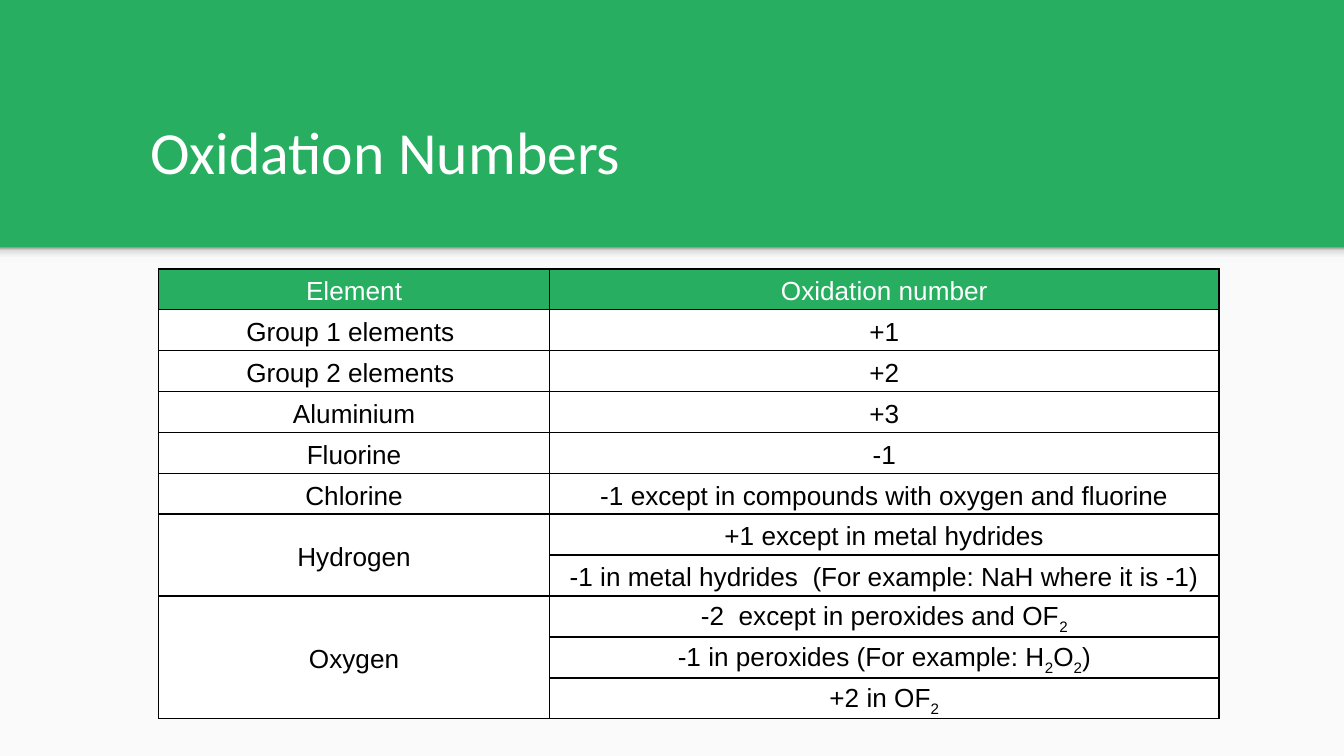
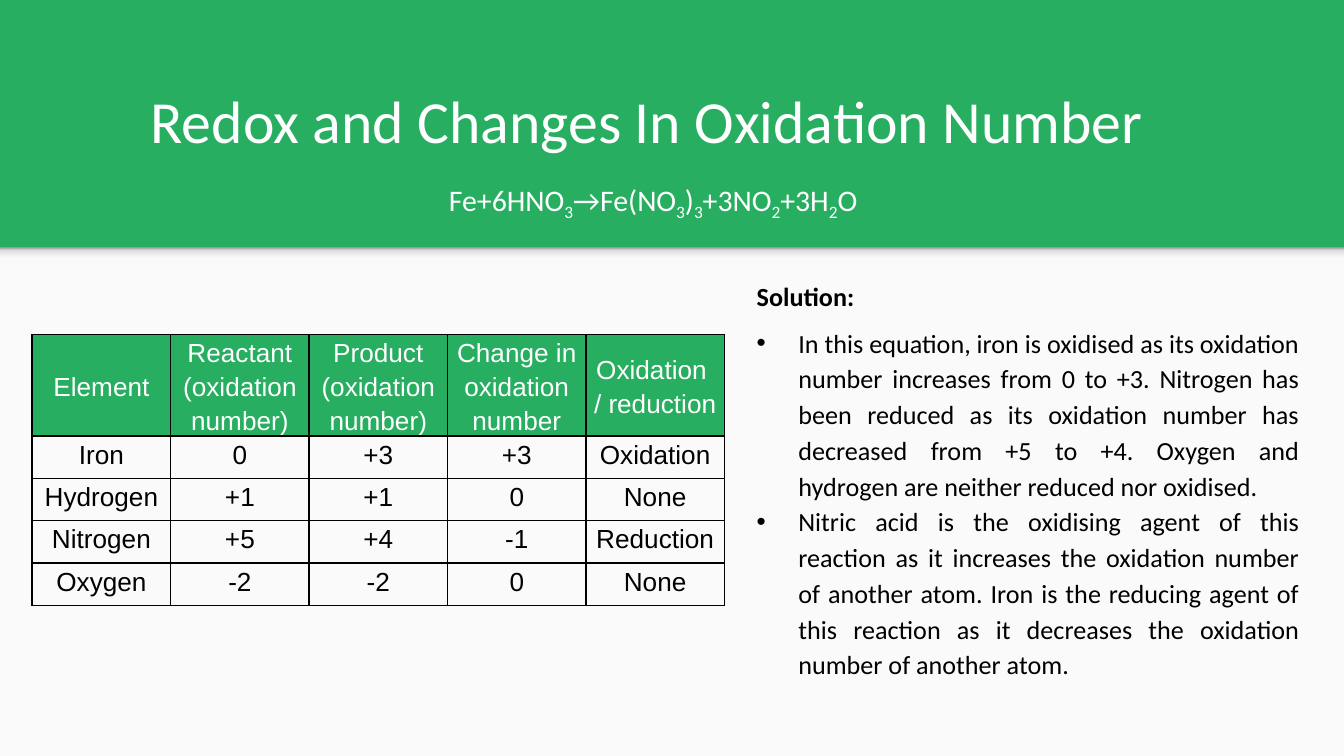
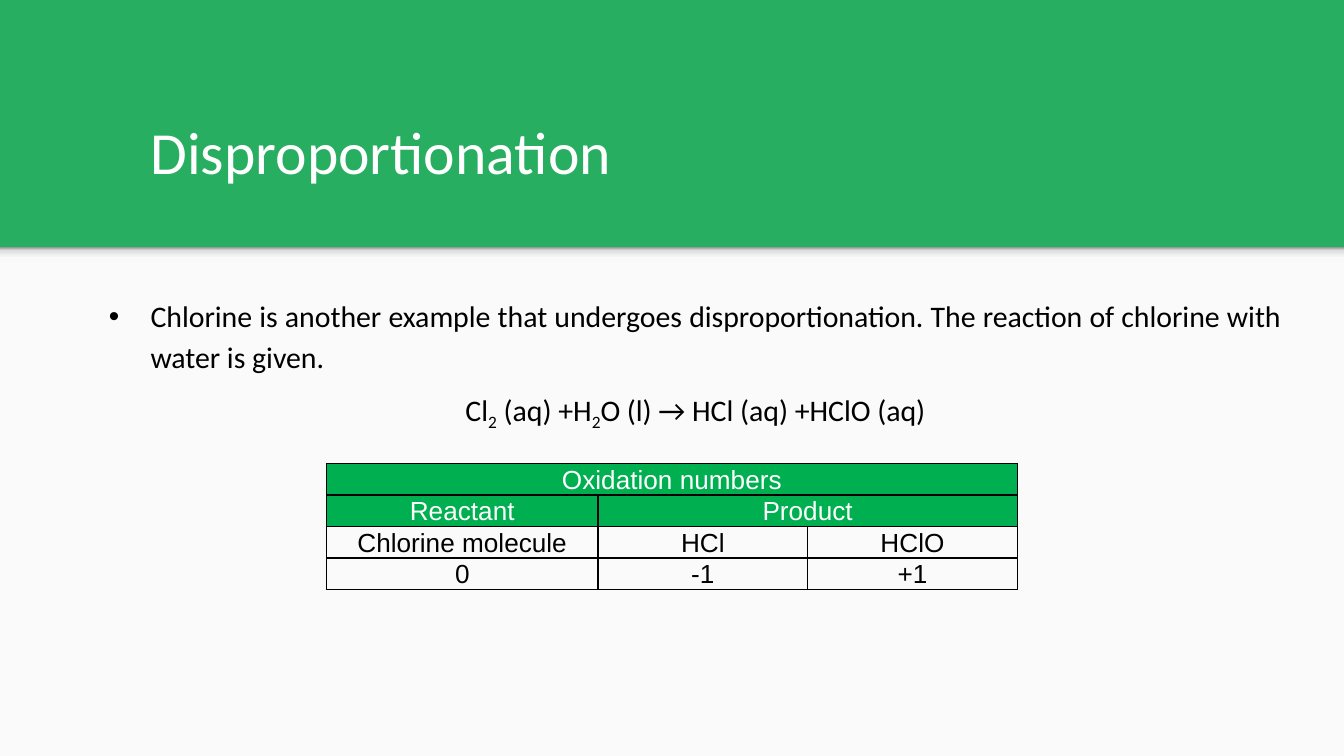
"""Build three chemistry slides on oxidation numbers and redox."""
from dataclasses import dataclass

from lxml import etree
from pptx import Presentation
from pptx.dml.color import RGBColor
from pptx.enum.shapes import MSO_SHAPE
from pptx.enum.text import MSO_ANCHOR, MSO_AUTO_SIZE, PP_ALIGN
from pptx.oxml.ns import qn
from pptx.util import Inches, Pt

RECT = MSO_SHAPE.RECTANGLE
TOP, MIDDLE, BOTTOM = MSO_ANCHOR.TOP, MSO_ANCHOR.MIDDLE, MSO_ANCHOR.BOTTOM
LEFT, CENTER, JUSTIFY = PP_ALIGN.LEFT, PP_ALIGN.CENTER, PP_ALIGN.JUSTIFY
NO_FIT, GROW = MSO_AUTO_SIZE.NONE, MSO_AUTO_SIZE.SHAPE_TO_FIT_TEXT
TITLE_AND_BODY, TITLE_ONLY = 1, 5


@dataclass(frozen=True)
class Theme:
    green: str = "27AE60"
    bright_green: str = "00B050"
    paper: str = "FAFAFA"
    white: str = "FFFFFF"
    black: str = "000000"
    shade: tuple = ((0, "F9F9F9"), (36, "F9F9F9"), (80, "DEDEDE"), (100, "999999"))
    text_font: str = "Calibri"
    table_font: str = "Arial"
    title_size: int = 32
    lead_size: int = 16
    text_size: int = 14
    border: float = 1


def rgb(value):
    return RGBColor.from_string(value)


def add_color(parent, tag, color):
    el = etree.SubElement(parent, qn(tag))
    etree.SubElement(el, qn("a:srgbClr"), val=color)
    return el


def write(p, text, *, font, size, color, bold=False, align=LEFT, spacing=None,
          before=0, margin=0, indent=0, bullet=False):
    """Fill a paragraph; an underscore makes the next character a subscript."""
    p.alignment = align
    p.space_before = Pt(before)
    if spacing:
        p.line_spacing = spacing
    pPr = p._p.get_or_add_pPr()
    pPr.set("marL", str(Inches(margin)))
    pPr.set("indent", str(Inches(indent)))
    if bullet:
        add_color(pPr, "a:buClr", color)
        etree.SubElement(pPr, qn("a:buChar"), char="•")
    else:
        etree.SubElement(pPr, qn("a:buNone"))
    first, *rest = text.split("_")
    parts = [(first, False)]
    for part in rest:
        parts += [(part[0], True), (part[1:], False)]
    for part, lowered in parts:
        if not part:
            continue
        r = p.add_run()
        r.text = part
        r.font.name, r.font.size, r.font.bold = font, Pt(size), bold
        r.font.color.rgb = rgb(color)
        if lowered:
            r._r.get_or_add_rPr().set("baseline", "-25000")


class Deck:
    """Holds the theme, the presentation and the current slide."""

    def __init__(self, theme):
        self.theme = theme
        self.prs = Presentation()
        self.prs.slide_width = Inches(10)
        self.prs.slide_height = Inches(10 * 9 / 16)
        self.slide = None

    def add_slide(self, layout):
        self.slide = self.prs.slides.add_slide(self.prs.slide_layouts[layout])

    def backdrop(self):
        """Put the green band, the paper and its shadow on the master."""
        t, master = self.theme, self.prs.slide_master
        master.background.fill.solid()
        master.background.fill.fore_color.rgb = rgb(t.green)
        top = Inches(1.84)
        for i, height in enumerate((self.prs.slide_height - top, Inches(0.12))):
            sp = self.slide.shapes.add_shape(RECT, 0, top, self.prs.slide_width, height)
            sp.shadow.inherit = False
            sp.line.fill.background()
            if i == 0:
                sp.fill.solid()
                sp.fill.fore_color.rgb = rgb(t.paper)
            else:
                sp.fill.gradient()
                sp.fill.gradient_angle = 90
                stops = sp.element.find(".//" + qn("a:gsLst"))
                for old in list(stops):
                    stops.remove(old)
                for pos, color in t.shade:
                    add_color(stops, "a:gs", color).set("pos", str(pos * 1000))
            sp.element.find(".//" + qn("p:cNvPr")).set("id", str(20 + i))
            master.shapes.element.insert(2 + i, sp.element)

    def place(self, sp, left, top, width, height, anchor):
        sp.left, sp.top = Inches(left), Inches(top)
        sp.width, sp.height = Inches(width), Inches(height)
        tf = sp.text_frame
        tf.word_wrap, tf.auto_size, tf.vertical_anchor = True, NO_FIT, anchor
        tf.margin_left = tf.margin_right = Inches(0.1)
        tf.margin_top = tf.margin_bottom = Inches(0.1)
        return tf

    def title(self, text, top=0.65, width=8.76):
        t = self.theme
        tf = self.place(self.slide.shapes.title, 1.02, top, width, 0.84, BOTTOM)
        write(tf.paragraphs[0], text, font=t.text_font, size=t.title_size, color=t.white)

    def body(self, box, items, size):
        """Write (text, format) items into the body placeholder."""
        t = self.theme
        tf = self.place(self.slide.placeholders[1], *box, TOP)
        for i, (text, style) in enumerate(items):
            p = tf.add_paragraph() if i else tf.paragraphs[0]
            write(p, text, font=t.text_font, size=size, color=t.black, spacing=1.14, **style)

    def equation(self, text, left, top, width, height):
        t = self.theme
        sp = self.slide.shapes.add_textbox(
            Inches(left), Inches(top), Inches(width), Inches(height))
        tf = sp.text_frame
        tf.word_wrap, tf.auto_size = True, GROW
        write(tf.paragraphs[0], text, font=t.text_font, size=t.lead_size,
              color=t.white, spacing=1.14, **CENTERED)

    def borders(self, cell):
        tcPr = cell._tc.get_or_add_tcPr()
        for side in "LRTB":
            ln = etree.SubElement(tcPr, qn("a:ln" + side), w=str(Pt(self.theme.border)))
            add_color(ln, "a:solidFill", self.theme.black)

    def table(self, left, top, cols, row_height, rows, *, head_fill, head_rows=1,
              body_fill=None, head_anchor=MIDDLE, anchor=TOP, spacing=1.15,
              head_pad=0.07, merges=()):
        """Draw a bordered table; None marks a cell covered by a merge."""
        t = self.theme
        table = self.slide.shapes.add_table(
            len(rows), len(cols), Inches(left), Inches(top),
            Inches(sum(cols)), Inches(row_height * len(rows))).table
        table.first_row = table.horz_banding = False
        for column, width in zip(table.columns, cols):
            column.width = Inches(width)
        for i, row in enumerate(rows):
            head = i < head_rows
            fill = head_fill if head else body_fill
            for j, text in enumerate(row):
                cell = table.cell(i, j)
                cell.margin_left = cell.margin_right = Inches(head_pad if head else 0.07)
                cell.margin_top = cell.margin_bottom = 0
                cell.vertical_anchor = head_anchor if head else anchor
                self.borders(cell)
                if fill:
                    cell.fill.solid()
                    cell.fill.fore_color.rgb = rgb(fill)
                else:
                    cell.fill.background()
                if text is not None:
                    write(cell.text_frame.paragraphs[0], text, font=t.table_font,
                          size=t.text_size, color=t.white if head else t.black,
                          align=CENTER, spacing=spacing)
        for start, end in merges:
            table.cell(*start).merge(table.cell(*end))


CENTERED = dict(align=CENTER, margin=0.14, before=6)
HEADING = dict(align=JUSTIFY, margin=0.14, bold=True)
BULLET = dict(align=JUSTIFY, margin=0.45, indent=-0.31, bullet=True)
FIRST_BULLET = dict(BULLET, before=6)


def oxidation_numbers(deck):
    t = deck.theme
    deck.title("Oxidation Numbers", width=6.9)
    rows = [
        ("Element", "Oxidation number"),
        ("Group 1 elements ", "+1"),
        ("Group 2 elements ", "+2"),
        ("Aluminium", "+3"),
        ("Fluorine", "-1"),
        ("Chlorine", "-1 except in compounds with oxygen and fluorine"),
        ("Hydrogen", "+1 except in metal hydrides"),
        (None, "-1 in metal hydrides  (For example: NaH where it is -1)"),
        ("Oxygen", "-2  except in peroxides and OF_2"),
        (None, "-1 in peroxides (For example: H_2O_2)"),
        (None, "+2 in OF_2"),
    ]
    deck.table(1.18, 2, (2.91, 4.98), 3.35 / len(rows), rows, head_fill=t.green,
               body_fill=t.white, anchor=MIDDLE,
               merges=[((6, 0), (7, 0)), ((8, 0), (10, 0))])


def redox_changes(deck):
    t = deck.theme
    deck.title("Redox and Changes In Oxidation Number", top=0.42)
    deck.body((5.39, 1.95, 4.38, 3.56), [
        ("Solution:", HEADING),
        ("In this equation, iron is oxidised as its oxidation number increases "
         "from 0 to +3. Nitrogen has been reduced as its oxidation number has "
         "decreased from +5 to +4. Oxygen and hydrogen are neither reduced nor "
         "oxidised.", FIRST_BULLET),
        ("Nitric acid is the oxidising agent of this reaction as it increases the "
         "oxidation number of another atom. Iron is the reducing agent of this "
         "reaction as it decreases the oxidation number of another atom.", BULLET),
    ], t.text_size)
    deck.table(0.24, 2.49, (1.03,) * 5, 1.26 / 4, [
        ("Element", "Reactant (oxidation number)", "Product (oxidation number)",
         "Change in oxidation number", "Oxidation  / reduction"),
        ("Iron", "0", "+3", "+3", "Oxidation"),
        ("Hydrogen", "+1", "+1", "0", "None"),
        ("Nitrogen", "+5", "+4", "-1", "Reduction"),
        ("Oxygen", "-2", "-2", "0", "None"),
    ], head_fill=t.green, head_pad=0.06)
    deck.equation("Fe+6HNO_3→Fe(NO_3)_3+3NO_2+3H_2O", 2.29, 1.26, 5, 0.39)


def disproportionation(deck):
    t = deck.theme
    deck.title("Disproportionation")
    deck.body((0.57, 2.08, 9.07, 3.03), [
        ("Chlorine is another example that undergoes disproportionation. "
         "The reaction of chlorine with water is given. ", FIRST_BULLET),
        ("Cl_2 (aq) +H_2O (l) → HCl (aq) +HClO (aq)", CENTERED),
    ], t.lead_size)
    rows = [
        ("Oxidation numbers", None, None),
        ("Reactant", "Product", None),
        ("Chlorine molecule", "HCl", "HClO"),
        ("0", "-1", "+1"),
    ]
    deck.table(2.43, 3.45, (2.02, 1.56, 1.56), 0.93 / len(rows), rows,
               head_fill=t.bright_green, head_rows=2, head_anchor=TOP, spacing=1.07,
               merges=[((0, 0), (0, 2)), ((1, 1), (1, 2))])


def main():
    deck = Deck(Theme())
    deck.add_slide(TITLE_ONLY)
    deck.backdrop()
    oxidation_numbers(deck)
    for build in (redox_changes, disproportionation):
        deck.add_slide(TITLE_AND_BODY)
        build(deck)
    deck.prs.save("out.pptx")


if __name__ == "__main__":
    main()
